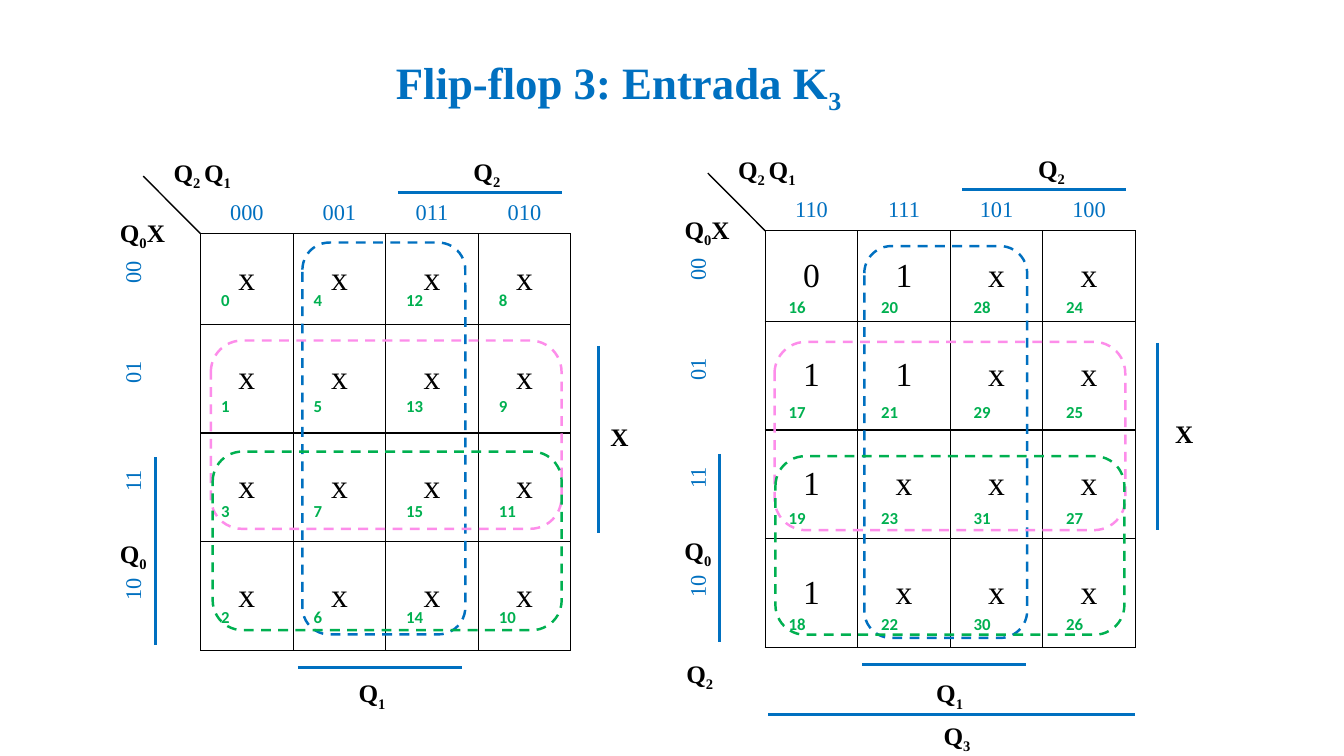
from pptx import Presentation
from pptx.dml.color import RGBColor
from pptx.enum.dml import MSO_LINE as Dash
from pptx.enum.shapes import MSO_CONNECTOR as Wire, MSO_SHAPE as Shape
from pptx.enum.text import MSO_ANCHOR as Anchor, MSO_AUTO_SIZE as Fit, PP_ALIGN as Align
from pptx.oxml import parse_xml
from pptx.oxml.ns import nsdecls
from pptx.util import Inches, Pt

BLUE = RGBColor(0x00, 0x70, 0xC0)
GREEN = RGBColor(0x00, 0xB0, 0x50)
PINK = RGBColor(0xFD, 0x8D, 0xEA)
BLACK = RGBColor(0x00, 0x00, 0x00)
SERIF, SANS = "Times New Roman", "Calibri"
COL, ROW = 4.59 / 5, 1.08  # size of a map cell, in inches
PLAIN = "{2D5ABB26-0587-4C30-8999-92F81FD0307C}"  # table style: no grid
GRAY = ["00", "01", "11", "10"]


class Board:
    """Draws on a slide in columns and rows, counted from a movable corner."""

    def __init__(self, slide):
        self.slide = slide
        self.move(0, 0)

    def move(self, left, top):
        self.left, self.top = left, top

    def spot(self, col, row):
        return Inches(self.left + col * COL), Inches(self.top + row * ROW)

    def size(self, cols, rows):
        return Inches(cols * COL), Inches(rows * ROW)

    def font(self, para, size, color, name=SERIF, bold=False):
        font = para.font
        font.size, font.name, font.bold = Pt(size), name, bold
        font.color.rgb = color

    def line(self, start, end, color=BLUE, width=2.25):
        wire = self.slide.shapes.add_connector(
            Wire.STRAIGHT, *self.spot(*start), *self.spot(*end))
        wire.line.color.rgb, wire.line.width = color, Pt(width)
        wire._element.spPr.append(parse_xml(f"<a:effectLst {nsdecls('a')}/>"))

    def label(self, text, at, cols, size=18, color=BLACK, rows=0.37):
        """Every second part of the text, split at |, is a subscript."""
        box = self.slide.shapes.add_textbox(*self.spot(*at), *self.size(cols, rows))
        frame = box.text_frame
        frame.word_wrap, frame.auto_size = False, Fit.SHAPE_TO_FIT_TEXT
        para = frame.paragraphs[0]
        self.font(para, size, color, bold=True)
        for i, part in enumerate(text.split("|")):
            run = para.add_run()
            run.text = part
            if i % 2:
                run._r.get_or_add_rPr().set("baseline", "-25000")

    def loop(self, at, cols, rows, color):
        ring = self.slide.shapes.add_shape(
            Shape.ROUNDED_RECTANGLE, *self.spot(*at), *self.size(cols, rows))
        ring.shadow.inherit = False
        ring.fill.background()
        ring.line.color.rgb, ring.line.width = color, Pt(1.75)
        ring.line.dash_style = Dash.DASH

    def table(self, at, rows):
        """Adds an unstyled five-column table with the given row heights."""
        frame = self.slide.shapes.add_table(
            len(rows), 5, *self.spot(*at), *self.size(5, sum(rows)))
        table = frame.table
        table.first_row = table.horz_banding = False
        table._tbl.tblPr[0].text = PLAIN
        for col in table.columns:
            col.width = Inches(COL)
        for row, high in zip(table.rows, rows):
            row.height = Inches(high * ROW)
        return table

    def cell(self, cell, text, pads, anchor, align, edges="", **style):
        (cell.margin_left, cell.margin_top, cell.margin_right,
         cell.margin_bottom) = map(Inches, pads)
        cell.vertical_anchor = anchor
        para = cell.text_frame.paragraphs[0]
        para.text, para.alignment = text, align
        self.font(para, **style)
        props = cell._tc.get_or_add_tcPr()
        for edge in edges:
            props.append(parse_xml(
                f'<a:ln{edge} {nsdecls("a")} w="12700"><a:solidFill>'
                f'<a:srgbClr val="{BLACK}"/></a:solidFill></a:ln{edge}>'))
        cell.fill.background()

    def codes(self, at, first):
        """Numbers the cells in Gray order, starting from first."""
        table = self.table(at, [0.97] * 5)
        order = [int(code, 2) for code in GRAY]
        for r, low in enumerate(order, 1):
            for c, high in enumerate(order, 1):
                self.cell(table.cell(r, c), str(first + 4 * high + low),
                          (0.25, 0.13, 0.25, 0.13), Anchor.BOTTOM, Align.LEFT,
                          size=12, color=GREEN, name=SANS, bold=True)

    def grid(self, heads, values):
        table = self.table((-1, -0.51), [0.51, 0.83, 1, 1, 1])
        for c, head in enumerate(heads, 1):
            self.cell(table.cell(0, c), head, (0.25, 0.13, 0.25, 0.08),
                      Anchor.BOTTOM, Align.CENTER, "B", size=16, color=BLUE)
        for r, (code, marks) in enumerate(zip(GRAY, values), 1):
            side = table.cell(r, 0)
            self.cell(side, code, (0.25, 0.13, 0.12, 0.08),
                      Anchor.BOTTOM, Align.CENTER, "R", size=16, color=BLUE)
            side._tc.get_or_add_tcPr().set("vert", "vert270")
            for c, mark in enumerate(marks, 1):
                self.cell(table.cell(r, c), mark, (0, 0, 0, 0),
                          Anchor.MIDDLE, Align.CENTER, "LRTB", size=24, color=BLACK)

    def frame(self, bar, foot):
        """Marks where each variable is 1; bar and foot place X's line and Q1."""
        self.line((0, 0), (-0.62, -0.53), BLACK, 1)
        self.label("Q|2 |Q|1", (-0.4, -0.75), 0.88)
        self.label("Q|0|X", (-0.98, -0.2), 0.72)
        self.line((2.13, -0.38), (3.9, -0.38))
        self.line((1.05, 3.98), (2.82, 3.98))
        self.line((bar, 1.03), (bar, 2.75))
        self.line((-0.49, 2.05), (-0.49, 3.78))
        self.label("Q|0", (-0.98, 2.75), 0.52)
        self.label("X", (4.32, 1.68), 0.41)
        self.label("Q|2", (2.84, -0.76), 0.52)
        self.label("Q|1", foot, 0.52)

    def loops(self, tall, upper, lower):
        self.loop(tall, 1.76, 3.6, BLUE)
        self.loop(upper, 3.79, 1.73, PINK)
        self.loop(lower, 3.77, 1.64, GREEN)


def main():
    deck = Presentation()
    deck.slide_width, deck.slide_height = Inches(13.33), Inches(7.5)
    board = Board(deck.slides.add_slide(deck.slide_layouts[6]))
    board.label("Flip-flop 3: Entrada K|3", (4.17, 0.46), 5.09, 32, BLUE, 0.59)

    board.move(1.99, 2.32)
    board.codes((-1.05, -1.11), 0)
    board.grid(["000", "001", "011", "010"], ["xxxx"] * 4)
    board.frame(4.3, (1.6, 4.03))
    board.loops((1.1, 0.08), (0.11, 0.98), (0.13, 2))

    board.move(7.59, 2.29)
    board.codes((-1.02, -1.02), 16)
    board.grid(["110", "111", "101", "100"], ["01xx", "11xx", "1xxx", "1xxx"])
    board.frame(4.24, (1.74, 4.06))
    board.loops((1.07, 0.14), (0.1, 1.02), (0.11, 2.07))
    board.line((0.03, 4.44), (3.99, 4.44))
    board.label("Q|3", (1.82, 4.45), 0.52)
    board.label("Q|2", (-0.96, 3.88), 0.52)

    deck.save("out.pptx")


if __name__ == "__main__":
    main()
